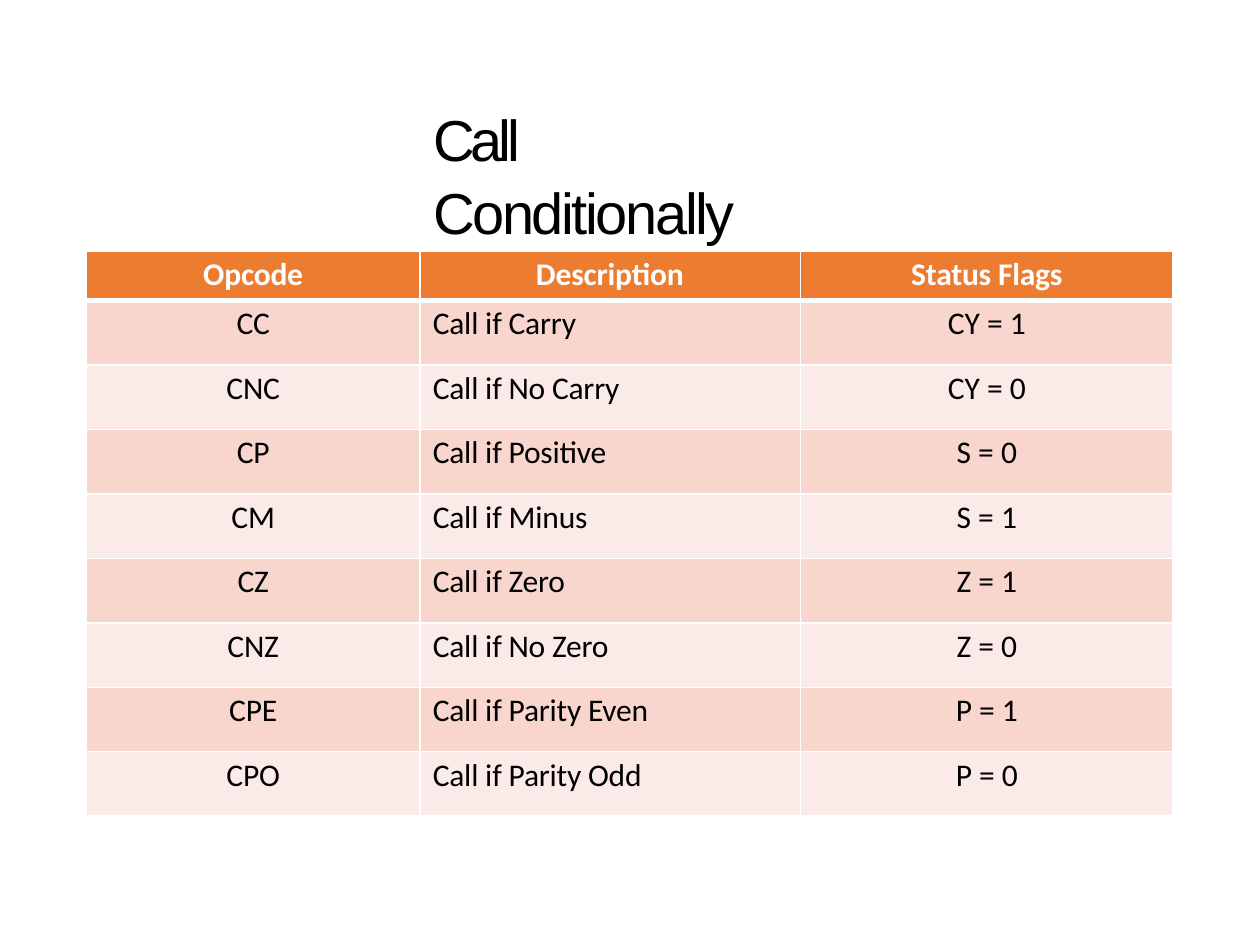
from lxml import etree
from pptx import Presentation
from pptx.dml.color import RGBColor
from pptx.enum import text
from pptx.oxml import ns
from pptx.util import Pt


def style(p, name, size, color, bold=False, spacing=0):
    p.font.name, p.font.size, p.font.bold = name, Pt(size), bold
    p.font.color.rgb = RGBColor.from_string(color)
    for r in p.runs:
        r.font._element.set("spc", str(round(spacing * 100)))


def border(cell, widths, color="FFFFFF"):
    tcPr = cell._tc.get_or_add_tcPr()
    for i, (side, width) in enumerate(widths.items()):
        ln = etree.Element(ns.qn(f"a:ln{side}"), w=str(Pt(width)))
        fill = etree.SubElement(ln, ns.qn("a:solidFill"))
        etree.SubElement(fill, ns.qn("a:srgbClr"), val=color)
        tcPr.insert(i, ln)


prs = Presentation()
prs.slide_width, prs.slide_height = Pt(720), Pt(540)
s = prs.slides.add_slide(prs.slide_layouts[5])

# Title
sp = s.shapes.title
sp.left, sp.top, sp.width, sp.height = Pt(246.5), Pt(56.2), Pt(227), Pt(42)
tf = sp.text_frame
tf.word_wrap = True
tf.auto_size = text.MSO_AUTO_SIZE.NONE
tf.vertical_anchor = text.MSO_ANCHOR.TOP
tf.margin_left, tf.margin_top, tf.margin_right, tf.margin_bottom = Pt(1), Pt(1.2), 0, 0
p = tf.paragraphs[0]
p.alignment = text.PP_ALIGN.LEFT
p.line_spacing = 1.05
for word, spacing in [("Call ", -2.3), ("Conditionally", -1.4)]:
    r = p.add_run()
    r.text = word
    r.font._element.set("spc", str(round(spacing * 100)))
p.font.name, p.font.size = "Arial", Pt(33)
p.font.color.rgb = RGBColor.from_string("000000")

# Table
rows = [
    ("Opcode", "Description", "Status Flags"),
    ("CC", "Call if Carry", "CY = 1"),
    ("CNC", "Call if No Carry", "CY = 0"),
    ("CP", "Call if Positive", "S = 0"),
    ("CM", "Call if Minus", "S = 1"),
    ("CZ", "Call if Zero", "Z = 1"),
    ("CNZ", "Call if No Zero", "Z = 0"),
    ("CPE", "Call if Parity Even", "P = 1"),
    ("CPO", "Call if Parity Odd", "P = 0"),
]
widths = [190.8, 217.5, 212.7]
header_height, row_height = 28.5, 36.85
frame = s.shapes.add_table(len(rows), len(widths), Pt(49.3), Pt(143.3), Pt(sum(widths)),
                           Pt(header_height + row_height * (len(rows) - 1)))
table = frame.table
table.first_row = table.horz_banding = False
for column, width in zip(table.columns, widths):
    column.width = Pt(width)

for i, row in enumerate(rows):
    header = i == 0
    table.rows[i].height = Pt(header_height if header else row_height)
    fill = "EC7C30" if header else ("FBEBE8", "F8D6CD")[i % 2]
    for j, value in enumerate(row):
        cell = table.cell(i, j)
        cell.text = value
        cell.margin_left = cell.margin_right = cell.margin_bottom = 0
        cell.margin_top = Pt(2.5)
        cell.fill.solid()
        cell.fill.fore_color.rgb = RGBColor.from_string(fill)
        border(cell, {"L": 1, "R": 1, "T": 3 if i == 1 else 1, "B": 3 if header else 1})
        p = cell.text_frame.paragraphs[0]
        if j == 1:
            p.alignment = text.PP_ALIGN.LEFT
            cell.margin_left = Pt(66.2 if header else 7.2)
        else:
            p.alignment = text.PP_ALIGN.CENTER
        style(p, "Calibri", 18, "FFFFFF" if header else "000000", header,
              0 if j == 2 and not header else -0.1)

prs.save("out.pptx")
